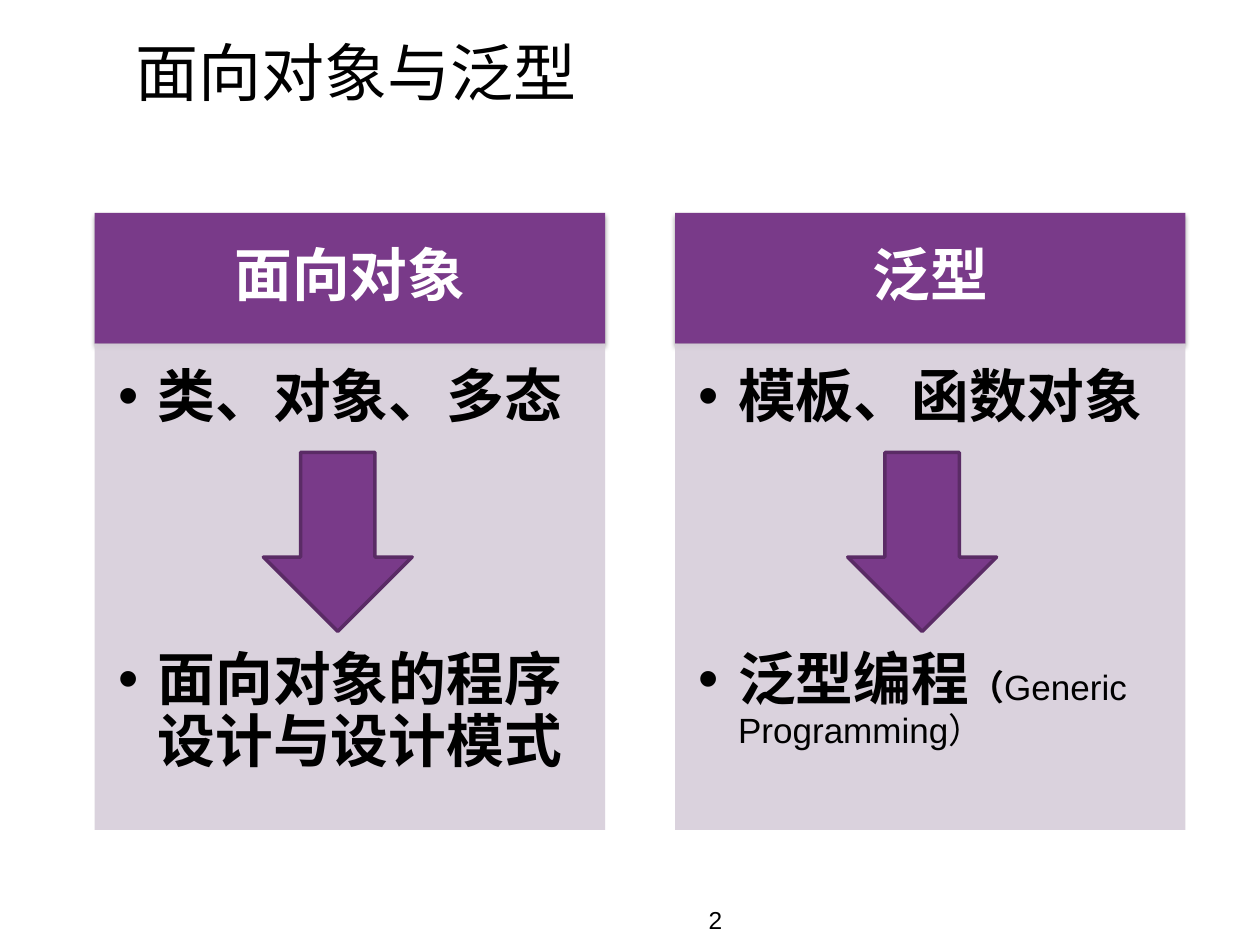
from lxml.etree import SubElement
from pptx import Presentation
from pptx.dml.color import RGBColor
from pptx.enum.shapes import MSO_SHAPE
from pptx.enum.text import MSO_ANCHOR, PP_ALIGN
from pptx.oxml.ns import qn
from pptx.util import Cm, Pt

PURPLE, EDGE, LILAC = "793A89", "5A2B65", "D7CEDA"
BLACK, WHITE = "000000", "FFFFFF"
COLUMN_WIDTH, HEADER_TOP, HEADER_HEIGHT, BODY_HEIGHT = 10.29, 4.29, 2.64, 9.8


def color(value):
    """Turn a hex string into a colour."""
    return RGBColor.from_string(value)


def add_block(page, kind, place, fill, line=None):
    """Add a filled preset shape at a place given in centimetres."""
    shape = page.shapes.add_shape(kind, *map(Cm, place))
    shape.shadow.inherit = False
    shape.fill.solid()
    shape.fill.fore_color.rgb = color(fill)
    if line:
        shape.line.color.rgb = color(line)
        shape.line.width = Pt(2)
    else:
        shape.line.fill.background()
    return shape


def set_frame(frame, anchor=MSO_ANCHOR.TOP, insets=(0.25, 0.13, 0.25, 0.13)):
    """Set wrapping, anchor and left, top, right and bottom insets."""
    frame.word_wrap = True
    frame.vertical_anchor = anchor
    (frame.margin_left, frame.margin_top,
     frame.margin_right, frame.margin_bottom) = map(Cm, insets)


def add_span(para, text, size=33, fill=BLACK, bold=False):
    """Append a formatted run to a paragraph."""
    span = para.add_run()
    span.text = text
    span.font.name = "Arial"
    span.font.size = Pt(size)
    span.font.bold = bold
    span.font.color.rgb = color(fill)


def add_label(page, place, text, size, align, anchor):
    """Add a text box that holds one line."""
    box = page.shapes.add_textbox(*map(Cm, place))
    set_frame(box.text_frame, anchor)
    para = box.text_frame.paragraphs[0]
    para.alignment = align
    add_span(para, text, size)


def add_shadow(shape):
    """Give a shape a soft shadow below it."""
    effects = shape._element.spPr.find(qn("a:effectLst"))
    shadow = SubElement(effects, qn("a:outerShdw"), blurRad=str(Pt(3.1)),
                        dist=str(Pt(1.8)), dir="5400000", rotWithShape="0")
    tint = SubElement(shadow, qn("a:srgbClr"), val=BLACK)
    SubElement(tint, qn("a:alpha"), val="35000")


def set_opacity(shape, percent):
    """Make the solid fill of a shape partly transparent."""
    tint = shape._element.spPr.find(qn("a:solidFill"))[0]
    SubElement(tint, qn("a:alpha"), val=str(percent * 1000))


def format_bullet(para, space_before):
    """Format a paragraph as a bullet with a hanging indent."""
    para.level = 1
    para.alignment = PP_ALIGN.LEFT
    para.line_spacing = 0.9
    para.space_before = Pt(space_before)
    properties = para._p.get_or_add_pPr()
    properties.set("marL", str(Cm(0.79)))
    properties.set("indent", str(-Cm(0.79)))
    SubElement(properties, qn("a:buFont"), typeface="Arial")
    SubElement(properties, qn("a:buChar"), char="•")


def add_header(page, left, text):
    """Add the heading bar of a column."""
    header = add_block(page, MSO_SHAPE.RECTANGLE,
                       (left, HEADER_TOP, COLUMN_WIDTH, HEADER_HEIGHT), PURPLE)
    add_shadow(header)
    set_frame(header.text_frame, MSO_ANCHOR.MIDDLE, (0.66, 0.38, 0.66, 0.38))
    para = header.text_frame.paragraphs[0]
    para.alignment = PP_ALIGN.CENTER
    para.line_spacing = 0.9
    add_span(para, text, fill=WHITE, bold=True)


def add_body(page, left, concepts, outcome):
    """Add the body of a column with its two bullets."""
    body = add_block(page, MSO_SHAPE.RECTANGLE,
                     (left, HEADER_TOP + HEADER_HEIGHT, COLUMN_WIDTH, BODY_HEIGHT),
                     LILAC)
    set_opacity(body, 90)
    frame = body.text_frame
    set_frame(frame, insets=(0.48, 0.48, 0.66, 0.74))
    first, second = frame.paragraphs[0], frame.add_paragraph()
    format_bullet(first, 0)
    format_bullet(second, 126)
    add_span(first, concepts, bold=True)
    for text, size, bold in outcome:
        add_span(second, text, size, bold=bold)


def main():
    """Build the slide and save it."""
    deck = Presentation()
    deck.slide_width, deck.slide_height = Cm(25.4), Cm(19.05)
    page = deck.slides.add_slide(deck.slide_layouts[6])
    add_label(page, (2.49, 0.33, 22.9, 2.21), "面向对象与泛型", 36,
              PP_ALIGN.LEFT, MSO_ANCHOR.MIDDLE)
    columns = [
        (1.91, 5.31, "面向对象", "类、对象、多态",
         [("面向对象的程序设计与设计模式", 33, True)]),
        (13.61, 17.09, "泛型", "模板、函数对象",
         [("泛型编程", 33, True), ("（", 20, True),
          ("Generic Programming）", 20, False)]),
    ]
    for left, arrow_left, heading, concepts, outcome in columns:
        add_header(page, left, heading)
        add_body(page, left, concepts, outcome)
        add_block(page, MSO_SHAPE.DOWN_ARROW, (arrow_left, 9.12, 3, 3.61),
                  PURPLE, EDGE)
    add_label(page, (10.72, 18.11, 4.09, 0.94), "2", 14,
              PP_ALIGN.RIGHT, MSO_ANCHOR.TOP)
    deck.save("out.pptx")


if __name__ == "__main__":
    main()
